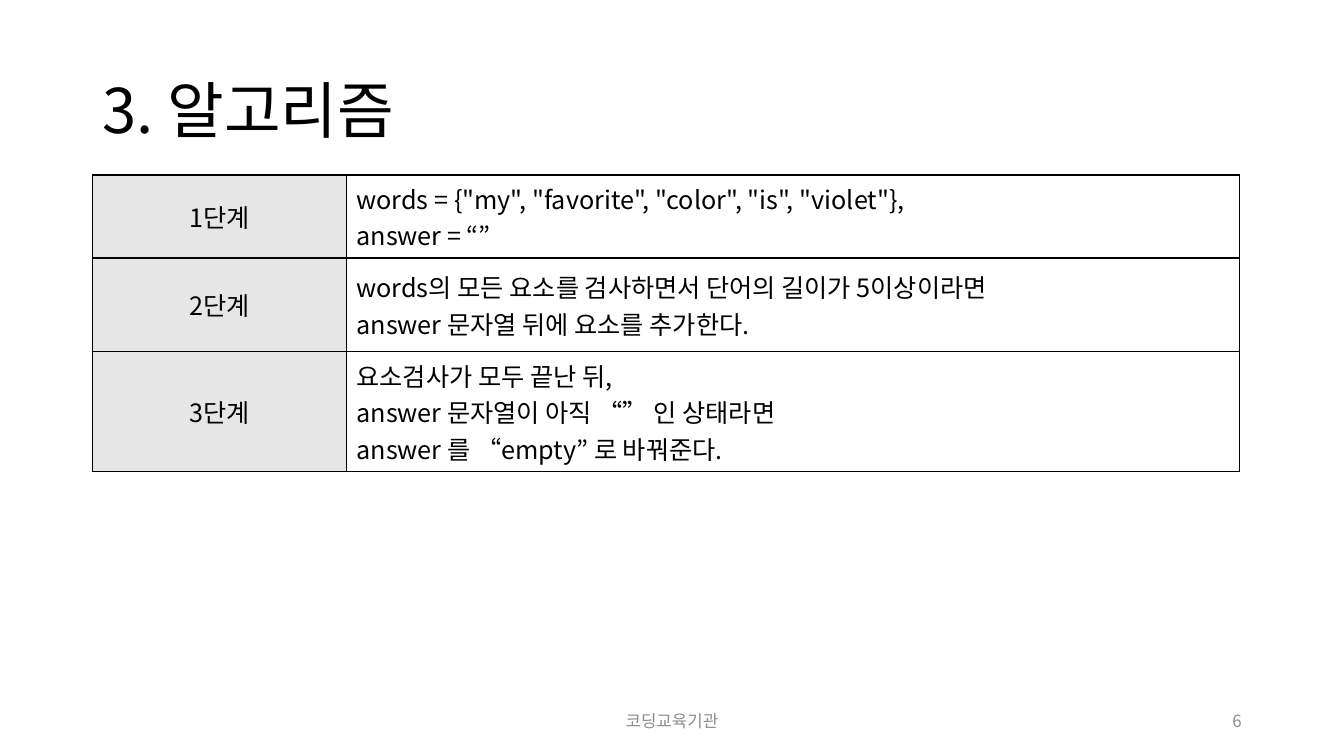
from dataclasses import dataclass

from lxml import etree
from pptx import Presentation
from pptx.dml.color import RGBColor
from pptx.enum.text import MSO_ANCHOR, MSO_AUTO_SIZE, PP_ALIGN
from pptx.oxml.ns import qn
from pptx.util import Pt

LEFT, CENTER, RIGHT = PP_ALIGN.LEFT, PP_ALIGN.CENTER, PP_ALIGN.RIGHT
MIDDLE = MSO_ANCHOR.MIDDLE
NO_AUTOFIT = MSO_AUTO_SIZE.NONE
TITLE_ONLY = 5


@dataclass(frozen=True)
class Theme:
    font: str = "Noto Sans CJK KR"
    ink: str = "000000"
    muted: str = "8C8C8C"
    step_fill: str = "E7E6E6"
    title_size: int = 44
    body_size: int = 18
    footer_size: int = 12
    border: int = 1


THEME = Theme()

STEPS = [
    ("1단계", 'words = {"my", "favorite", "color", "is", "violet"},\nanswer = “”'),
    ("2단계", "words의 모든 요소를 검사하면서 단어의 길이가 5이상이라면\n"
              "answer 문자열 뒤에 요소를 추가한다."),
    ("3단계", "요소검사가 모두 끝난 뒤,\nanswer 문자열이 아직 “” 인 상태라면\n"
              "answer 를 “empty” 로 바꿔준다."),
]


def write(frame, text, size, color, align=LEFT):
    frame.text = text
    for paragraph in frame.paragraphs:
        paragraph.alignment = align
        for run in paragraph.runs:
            run.font.size = Pt(size)
            run.font.name = THEME.font
            run.font.color.rgb = RGBColor.from_string(color)
            east_asian = etree.SubElement(run.font._element, qn("a:ea"))
            east_asian.set("typeface", THEME.font)


def outline(cell):
    properties = cell._tc.get_or_add_tcPr()
    for index, side in enumerate(("lnL", "lnR", "lnT", "lnB")):
        line = etree.Element(qn(f"a:{side}"), w=str(Pt(THEME.border)))
        fill = etree.SubElement(line, qn("a:solidFill"))
        etree.SubElement(fill, qn("a:srgbClr"), val=THEME.ink)
        properties.insert(index, line)


def add_heading(slide, text, left, top, width, height):
    heading = slide.shapes.title
    heading.left, heading.top = Pt(left), Pt(top)
    heading.width, heading.height = Pt(width), Pt(height)
    frame = heading.text_frame
    write(frame, text, THEME.title_size, THEME.ink)
    frame.auto_size = NO_AUTOFIT
    frame.vertical_anchor = MIDDLE
    frame.paragraphs[0].line_spacing = 0.9


def add_steps(slide, left, top, width, step_width, row_heights):
    table = slide.shapes.add_table(
        len(STEPS), 2, Pt(left), Pt(top), Pt(width), Pt(sum(row_heights))).table
    table.first_row = table.horz_banding = False
    table.columns[0].width = Pt(step_width)
    table.columns[1].width = Pt(width - step_width)
    for row, height, (step, action) in zip(table.rows, row_heights, STEPS):
        row.height = Pt(height)
        step_cell, action_cell = row.cells
        write(step_cell.text_frame, step, THEME.body_size, THEME.ink, CENTER)
        write(action_cell.text_frame, action, THEME.body_size, THEME.ink)
        step_cell.fill.solid()
        step_cell.fill.fore_color.rgb = RGBColor.from_string(THEME.step_fill)
        action_cell.fill.background()
        for cell in (step_cell, action_cell):
            cell.vertical_anchor = MIDDLE
            outline(cell)


def add_footer(slide, text, align, left, top, width, height):
    frame = slide.shapes.add_textbox(
        Pt(left), Pt(top), Pt(width), Pt(height)).text_frame
    frame.word_wrap = True
    frame.vertical_anchor = MIDDLE
    write(frame, text, THEME.footer_size, THEME.muted, align)


def build_algorithm_slide(deck):
    slide = deck.slides.add_slide(deck.slide_layouts[TITLE_ONLY])
    add_heading(slide, "3. 알고리즘", 66, 29, 828, 104)
    add_steps(slide, 66, 125, 819.5, 181.5, (59, 67, 85))
    add_footer(slide, "코딩교육기관", CENTER, 318, 500.5, 324, 28.75)
    add_footer(slide, "6", RIGHT, 678, 500.5, 216, 28.75)


deck = Presentation()
deck.slide_width, deck.slide_height = Pt(960), Pt(540)
build_algorithm_slide(deck)
deck.save("out.pptx")
